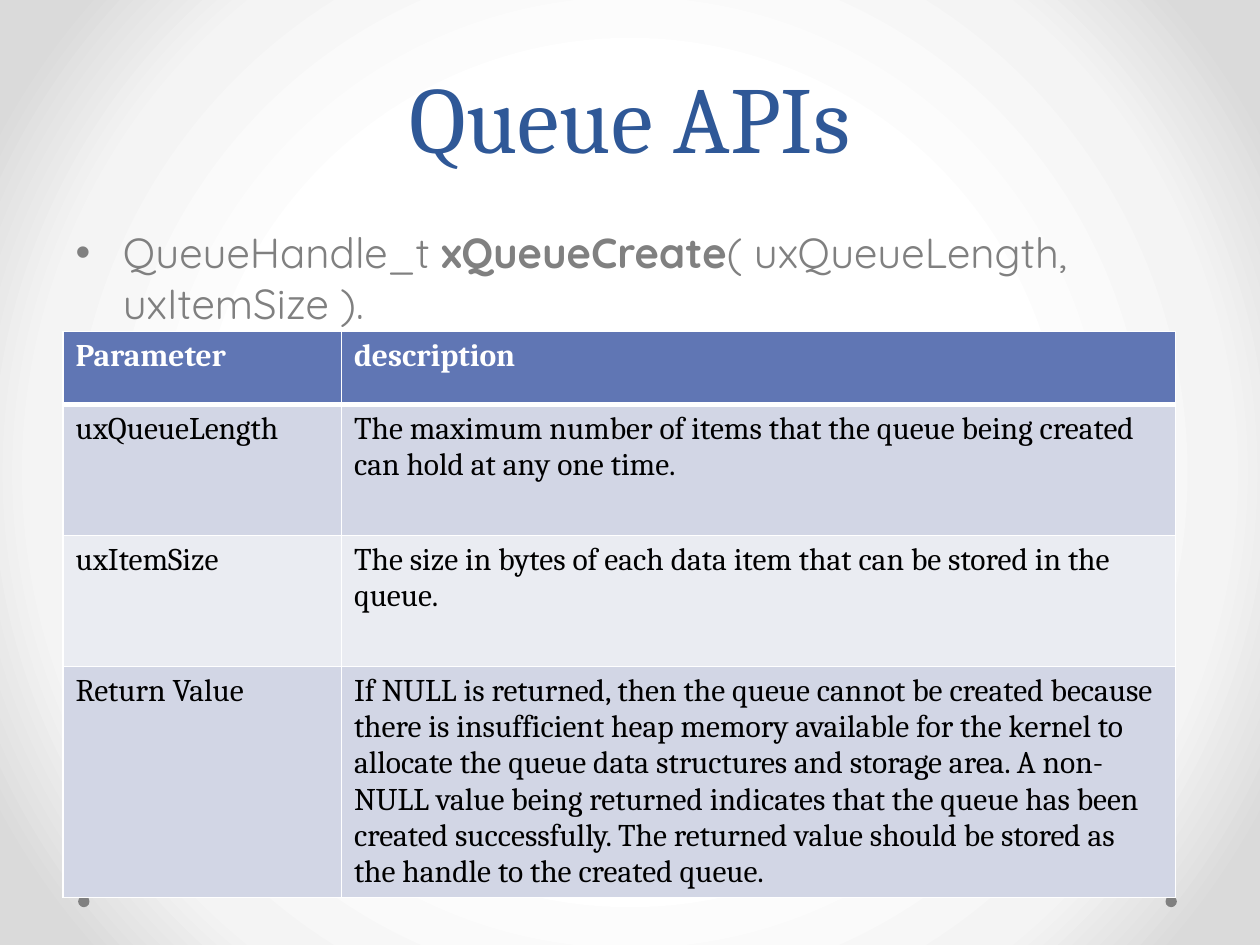
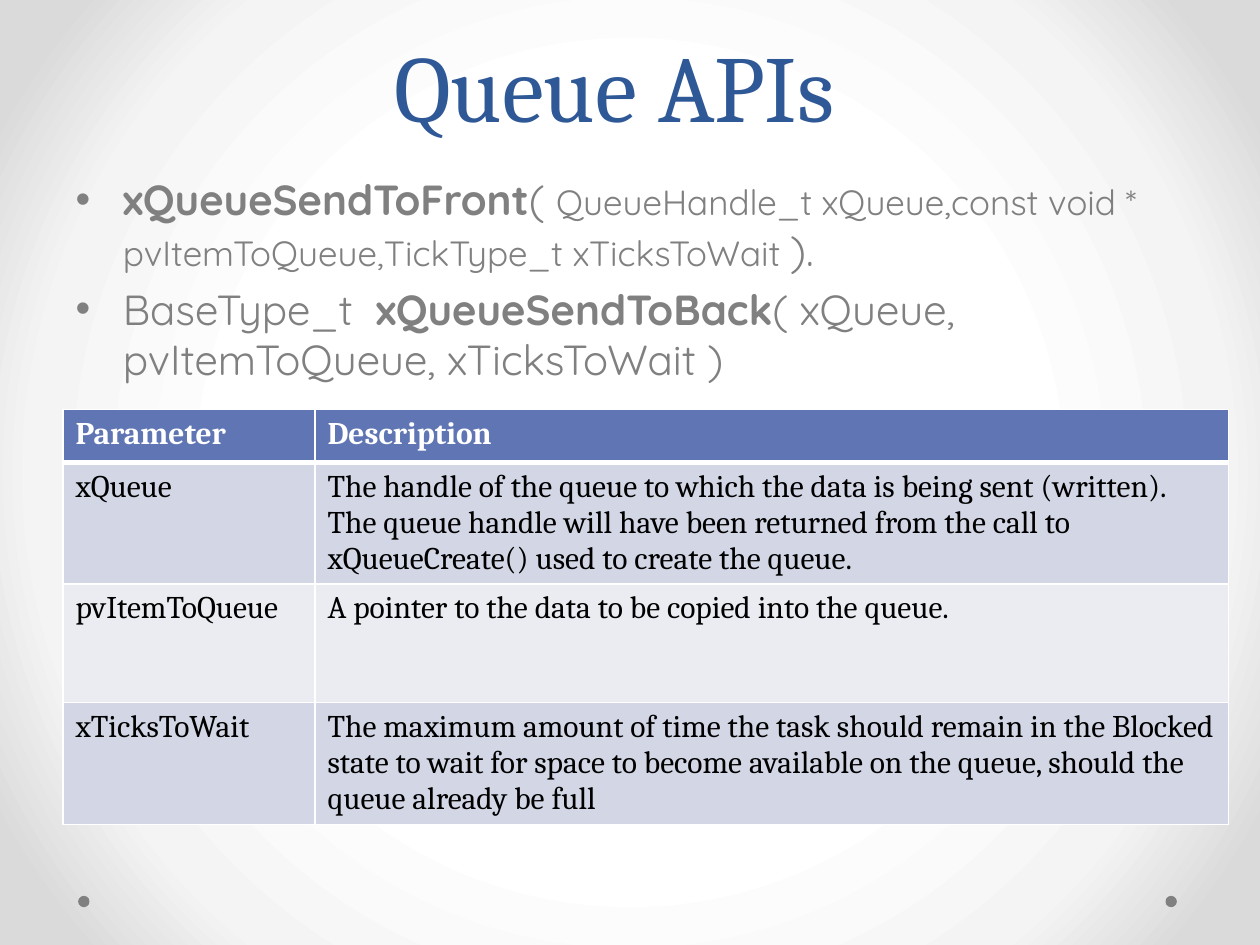
from pptx import Presentation, util as u
from pptx.dml.color import RGBColor
from pptx.enum import shapes, text
from pptx.oxml import parse_xml
from pptx.oxml.ns import nsdecls, qn

BLUE = RGBColor(0x2F, 0x58, 0x97)
GREY = RGBColor(0x80, 0x80, 0x80)
HEAD = RGBColor(0x60, 0x76, 0xB4)
BANDS = [RGBColor(0xEA, 0xEC, 0xF2), RGBColor(0xD2, 0xD6, 0xE5)]
WHITE = RGBColor(0xFF, 0xFF, 0xFF)
BLACK = RGBColor(0, 0, 0)
STOPS = [(50, "FFFFFF"), (76, "F4F4F4"), (92, "DADADA")]
SERIF = "Cambria"
SANS = "Quicksand"

PAGES = [
    {
        "title": (0.5, 0, 9, 1.42),
        "body": (0.5, 1.75, 9, 4.95),
        "list": [
            [("QueueHandle_t ", 24, False), ("xQueueCreate", 24, True),
             ("( uxQueueLength, uxItemSize ).", 24, False)],
        ],
        "table": (0.5, 2.63),
        "cols": (2.21, 6.62),
        "rows": (0.58, 1.04),
        "cells": [
            ("Parameter", "description"),
            ("uxQueueLength", "The maximum number of items that the queue being created "
             "can hold at any one time."),
            ("uxItemSize", "The size in bytes of each data item that can be stored in the queue."),
            ("Return Value", "If NULL is returned, then the queue cannot be created because "
             "there is insufficient heap memory available for the kernel to allocate the queue "
             "data structures and storage area. A non-NULL value being returned indicates that "
             "the queue has been created successfully. The returned value should be stored as "
             "the handle to the created queue."),
        ],
    },
    {
        "title": (1.5, 0, 6.75, 1.17),
        "body": (0.5, 1.33, 9, 5.37),
        "list": [
            [("xQueueSendToFront", 24, True), ("( ", 24, False),
             ("QueueHandle_t xQueue,const void * pvItemToQueue,TickType_t xTicksToWait ", 20, False),
             (").", 24, False)],
            [("BaseType_t  ", 24, False), ("xQueueSendToBack", 24, True),
             ("( xQueue, pvItemToQueue, xTicksToWait )", 24, False)],
        ],
        "table": (0.5, 3.25),
        "cols": (2, 7.25),
        "rows": (0.42, 0.94),
        "cells": [
            ("Parameter", "Description"),
            ("xQueue", "The handle of the queue to which the data is being sent (written). "
             "The queue handle will have been returned from the call to xQueueCreate() used "
             "to create the queue."),
            ("pvItemToQueue", "A pointer to the data to be copied into the queue."),
            ("xTicksToWait", "The maximum amount of time the task should remain in the Blocked "
             "state to wait for space to become available on the queue, should the queue "
             "already be full"),
        ],
    },
]


def place(shape, box):
    shape.left, shape.top, shape.width, shape.height = map(u.Inches, box)


def style(font, face, size, color, bold=False):
    font.name, font.size, font.bold = face, u.Pt(size), bold
    font.color.rgb = color


prs = Presentation()
prs.slide_width, prs.slide_height = u.Inches(10), u.Inches(7.5)

base = prs.slide_master.element.cSld
old = base.find(qn("p:bg"))
if old is not None:
    base.remove(old)
stops = "".join(f'<a:gs pos="{pos * 1000}"><a:srgbClr val="{hue}"/></a:gs>' for pos, hue in STOPS)
base.insert(0, parse_xml(
    f'<p:bg {nsdecls("p", "a")}><p:bgPr><a:gradFill rotWithShape="1"><a:gsLst>{stops}</a:gsLst>'
    '<a:path path="circle"><a:fillToRect l="50000" t="50000" r="50000" b="50000"/></a:path>'
    '</a:gradFill><a:effectLst/></p:bgPr></p:bg>'))

for page in PAGES:
    slide = prs.slides.add_slide(prs.slide_layouts[1])

    for left in (9.25, 0.62):
        dot = slide.shapes.add_shape(shapes.MSO_SHAPE.OVAL, u.Inches(left), u.Inches(7.11),
                                     u.Inches(0.09), u.Inches(0.09))
        dot.shadow.inherit = False
        dot.fill.solid()
        dot.fill.fore_color.rgb = GREY
        dot.line.fill.background()

    title = slide.shapes.title
    place(title, page["title"])
    frame = title.text_frame
    frame.text = "Queue APIs"
    frame.auto_size = text.MSO_AUTO_SIZE.NONE
    frame.vertical_anchor = text.MSO_ANCHOR.BOTTOM
    line = frame.paragraphs[0]
    line.alignment = text.PP_ALIGN.CENTER
    line.line_spacing = u.Pt(58)
    style(line.runs[0].font, SERIF, 54, BLUE)

    body = slide.placeholders[1]
    place(body, page["body"])
    frame = body.text_frame
    frame.auto_size = text.MSO_AUTO_SIZE.NONE
    for i, parts in enumerate(page["list"]):
        line = frame.add_paragraph() if i else frame.paragraphs[0]
        for words, size, bold in parts:
            run = line.add_run()
            run.text = words
            style(run.font, SANS, size, GREY, bold)

    cells, cols = page["cells"], page["cols"]
    first, rest = page["rows"]
    highs = [first] + [rest] * (len(cells) - 1)
    left, top = page["table"]
    table = slide.shapes.add_table(len(cells), len(cols), u.Inches(left), u.Inches(top),
                                   u.Inches(sum(cols)), u.Inches(sum(highs))).table
    for col, wide in zip(table.columns, cols):
        col.width = u.Inches(wide)
    for r, (row, high) in enumerate(zip(table.rows, highs)):
        row.height = u.Inches(high)
        for cell, words in zip(row.cells, cells[r]):
            cell.text = words
            style(cell.text_frame.paragraphs[0].runs[0].font, SERIF, 18,
                  BLACK if r else WHITE, r == 0)
            cell.fill.solid()
            cell.fill.fore_color.rgb = BANDS[r % 2] if r else HEAD
            for i, side in enumerate("LRTB"):
                thick = 3 if (r, side) in ((0, "B"), (1, "T")) else 1
                cell._tc.tcPr.insert(i, parse_xml(
                    f'<a:ln{side} {nsdecls("a")} w="{u.Pt(thick)}"><a:solidFill>'
                    f'<a:srgbClr val="{WHITE}"/></a:solidFill></a:ln{side}>'))

prs.save("out.pptx")
